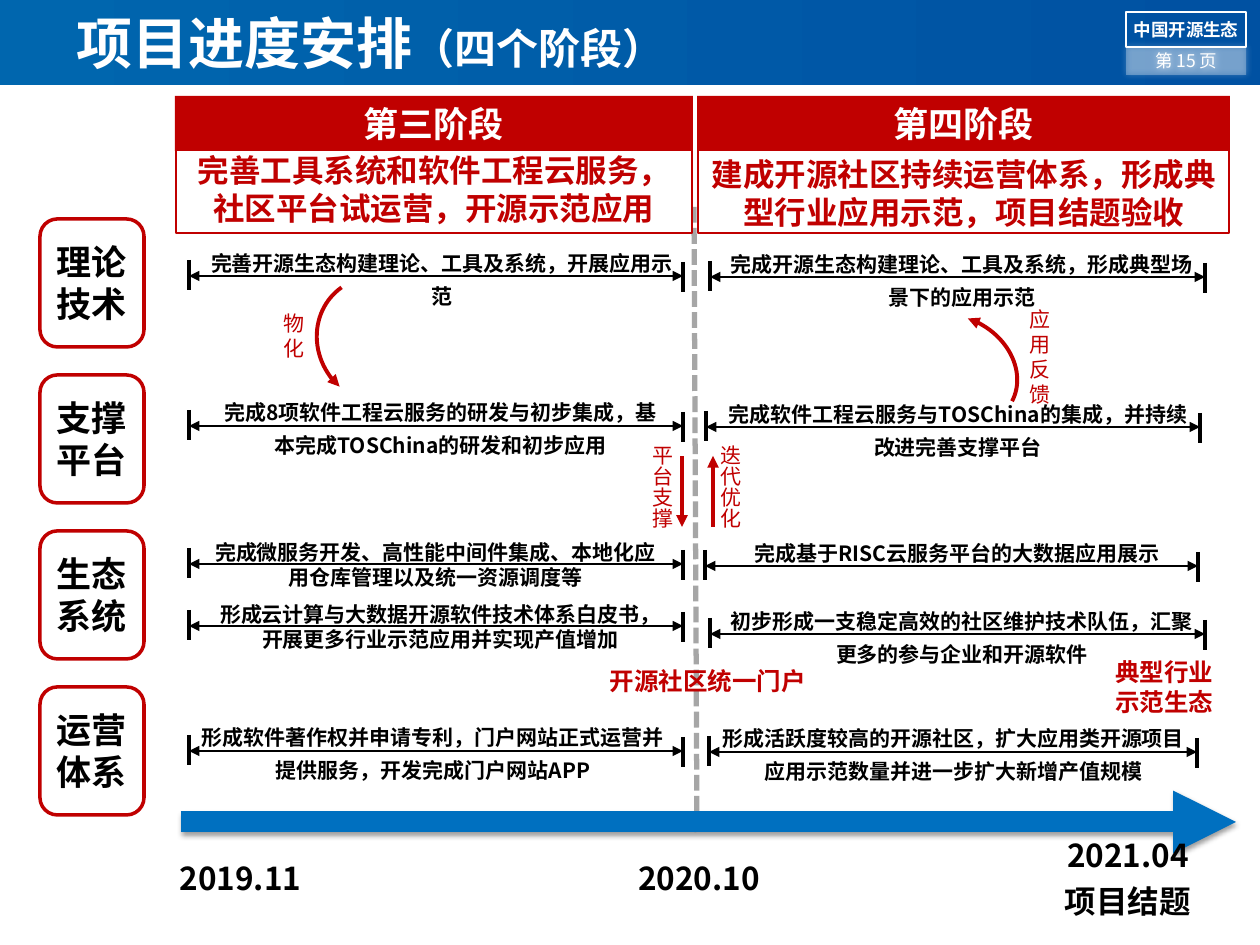
from lxml.etree import SubElement
from pptx import Presentation
from pptx.dml.color import RGBColor
from pptx.enum.dml import MSO_LINE
from pptx.enum.shapes import MSO_CONNECTOR, MSO_SHAPE
from pptx.enum.text import MSO_ANCHOR as Anchor, PP_ALIGN as Align
from pptx.oxml.ns import qn
from pptx.util import Emu, Pt

FONT = "Noto Sans CJK SC"
COLORS = {"white": "FFFFFF", "black": "000000", "red": "C00000", "blue": "0070C0",
          "gray": "A6A6A6", "header_left": "0066AE", "header_right": "0051A2"}


def px(value):
    return Emu(round(value * 914400 / 126))


def color(name):
    return RGBColor.from_string(COLORS[name])


def add_alpha(fill_element, percent):
    SubElement(fill_element, qn("a:alpha"), val=str(percent * 1000))


def add_shadow(effects, name, alpha, blur, distance=0, angle=0):
    shadow = SubElement(effects, qn("a:outerShdw"), blurRad=str(Pt(blur)),
                        dist=str(Pt(distance)), dir=str(angle * 60000))
    add_alpha(SubElement(shadow, qn("a:srgbClr"), val=COLORS[name]), alpha)


def style_paragraph(paragraph, size, name, bold=True, align=Align.CENTER, spacing=None):
    paragraph.alignment = align
    if spacing:
        paragraph.line_spacing = spacing
    font = paragraph.font
    font.size, font.bold, font.name = Pt(size), bold, FONT
    font.color.rgb = color(name)
    SubElement(font._element, qn("a:ea"), typeface=FONT)


def write(frame, text, size, name, anchor=Anchor.TOP, wrap=True, margins=None, **style):
    frame.word_wrap = wrap
    frame.vertical_anchor = anchor
    if margins:
        frame.margin_left = frame.margin_right = px(margins[0])
        frame.margin_top = frame.margin_bottom = px(margins[1])
    frame.text = text
    for paragraph in frame.paragraphs:
        style_paragraph(paragraph, size, name, **style)


def add_text(slide, box, text, size, name, **options):
    shape = slide.shapes.add_textbox(*map(px, box))
    write(shape.text_frame, text, size, name, **options)
    return shape


def add_shape(slide, kind, box, fill=None, line=None, width=1):
    shape = slide.shapes.add_shape(kind, *map(px, box))
    shape.shadow.inherit = False
    if fill:
        shape.fill.solid()
        shape.fill.fore_color.rgb = color(fill)
    else:
        shape.fill.background()
    if line:
        shape.line.color.rgb = color(line)
        shape.line.width = Pt(width)
    else:
        shape.line.fill.background()
    return shape


def add_arrowhead(line, end):
    SubElement(line._get_or_add_ln(), qn(f"a:{end}End"), type="triangle")


def add_line(slide, start, end, name, width, heads=(), dash=None):
    connector = slide.shapes.add_connector(MSO_CONNECTOR.STRAIGHT, *map(px, (*start, *end)))
    connector.line.color.rgb = color(name)
    connector.line.width = Pt(width)
    if dash:
        connector.line.dash_style = dash
    for head in heads:
        add_arrowhead(connector.line, head)
    return SubElement(connector._element.spPr, qn("a:effectLst"))


def draw_header(slide, box):
    left, top, width, height = box
    band = add_shape(slide, MSO_SHAPE.RECTANGLE, box, "white")
    band.fill.gradient()
    band.fill.gradient_angle = 0
    for stop, name in zip(band.fill.gradient_stops, ("header_left", "header_right")):
        stop.color.rgb = color(name)

    tag_left = left + width - 134
    page = add_shape(slide, MSO_SHAPE.ROUNDED_RECTANGLE, (tag_left, top + 47, 120, 28), "white")
    page.adjustments[0] = 0
    add_alpha(page._element.spPr.find(qn("a:solidFill"))[0], 30)
    add_shadow(page._element.spPr.find(qn("a:effectLst")), "white", 80, 4)
    write(page.text_frame, "第 15 页", 10, "white", Anchor.MIDDLE, margins=(13, 0), bold=False)
    badge = add_shape(slide, MSO_SHAPE.ROUNDED_RECTANGLE, (tag_left, top + 12, 120, 35), line="white")
    badge.adjustments[0] = 0
    write(badge.text_frame, "中国开源生态", 10, "white", Anchor.MIDDLE, wrap=False)

    title = add_text(slide, (left + 64, top, 1062, height), "", 32, "white",
                     anchor=Anchor.MIDDLE, wrap=False, align=Align.LEFT)
    for text, size in (("项目进度安排", 32), ("（四个阶段）", 24)):
        run = title.text_frame.paragraphs[0].add_run()
        run.text, run.font.size = text, Pt(size)


def draw_phase(slide, box, name, goal, goal_top):
    left, top, width, height = box
    add_shape(slide, MSO_SHAPE.RECTANGLE, (left + 1, top + 29, width - 2, height - 29),
              "white", "red", 1.5)
    add_text(slide, (left, top + goal_top, width, 89), goal, 18, "red")
    banner = add_shape(slide, MSO_SHAPE.RECTANGLE, (left, top, width, 55), "red")
    write(banner.text_frame, name, 20, "white")


def draw_layer(slide, box, name):
    label = add_shape(slide, MSO_SHAPE.ROUNDED_RECTANGLE, box, "white", "red", 2)
    write(label.text_frame, name, 20, "black", Anchor.MIDDLE, margins=(0, 0))


def draw_task(slide, box, span, text, spacing):
    start, end, y = span
    add_line(slide, (start, y), (end, y), "black", 0.75, ("head", "tail"))
    add_line(slide, (start, y - 16), (start, y + 14), "black", 2)
    add_line(slide, (end, y - 14), (end, y + 16), "black", 2)
    add_text(slide, box, text, 12, "black", spacing=spacing)


def draw_curve(slide, box, rotation, label_offset, label):
    left, top, _, _ = box
    curve = add_shape(slide, MSO_SHAPE.ARC, box, line="red", width=2.25)
    curve.adjustments[0], curve.adjustments[1] = 151.62, 215.14
    curve.rotation = rotation
    add_arrowhead(curve.line, "head")
    dx, dy = label_offset
    add_text(slide, (left + dx, top + dy, 35, 63), label, 12, "red", bold=False, align=Align.LEFT)


def draw_exchange(slide, box, arrow_x, downward, label):
    top = box[1]
    ends = [(arrow_x, top + 86), (arrow_x, top + 15)]
    start, end = ends if downward else ends[::-1]
    add_line(slide, start, end, "red", 2.25, ("head",))
    add_text(slide, box, label, 12, "red", bold=False, align=Align.LEFT, spacing=Pt(12))


def draw_timeline(slide, box):
    left, top, width, height = box
    effects = add_line(slide, (left + 52, top + 27), (left + 1107, top + 27), "blue", 12, ("tail",))
    add_shadow(effects, "black", 38, 3.1, 1.6, 90)
    table = slide.shapes.add_table(1, 3, *map(px, box)).table
    table.first_row = table.horz_banding = False
    table._tbl.tblPr.find(qn("a:tableStyleId")).text = "{2D5ABB26-0587-4C30-8999-92F81FD0307C}"
    dates = ("2019.11", "2020.10", "2021.04\n项目结题")
    for index, (column_width, date) in enumerate(zip((223, 694, 164), dates)):
        table.columns[index].width = px(column_width)
        cell = table.cell(0, index)
        cell.fill.background()
        cell.vertical_anchor = Anchor.MIDDLE
        cell.text = date
        for paragraph in cell.text_frame.paragraphs:
            style_paragraph(paragraph, 18, "black")


LAYERS = ("理论技术", "支撑平台", "生态系统", "运营体系")
TASKS = [
    ((193, 237, 498, 78), (189, 683, 276), "完善开源生态构建理论、工具及系统，开展应用示范", 1.3),
    ((205, 386, 471, 78), (189, 683, 426), "完成8项软件工程云服务的研发与初步集成，基本完成TOSChina的研发和初步应用", 1.3),
    ((194, 533, 483, 63), (189, 683, 564), "完成微服务开发、高性能中间件集成、本地化应用仓库管理以及统一资源调度等", None),
    ((205, 595, 471, 63), (189, 683, 626), "形成云计算与大数据开源软件技术体系白皮书，开展更多行业示范应用并实现产值增加", None),
    ((186, 711, 494, 78), (189, 683, 751), "形成软件著作权并申请专利，门户网站正式运营并提供服务，开发完成门户网站APP", 1.3),
    ((713, 238, 498, 78), (710, 1205, 277), "完成开源生态构建理论、工具及系统，形成典型场景下的应用示范", 1.3),
    ((709, 388, 498, 78), (706, 1200, 427), "完成软件工程云服务与TOSChina的集成，并持续改进完善支撑平台", 1.3),
    ((708, 527, 498, 45), (705, 1198, 566), "完成基于RISC云服务平台的大数据应用展示", 1.3),
    ((713, 595, 498, 78), (710, 1205, 634), "初步形成一支稳定高效的社区维护技术队伍，汇聚更多的参与企业和开源软件", 1.3),
    ((707, 712, 493, 78), (709, 1197, 752), "形成活跃度较高的开源社区，扩大应用类开源项目应用示范数量并进一步扩大新增产值规模", 1.3),
]


def main():
    presentation = Presentation()
    presentation.slide_width, presentation.slide_height = px(1260), px(945)
    slide = presentation.slides.add_slide(presentation.slide_layouts[6])
    draw_header(slide, (0, 0, 1260, 85))
    add_line(slide, (694, 207), (697, 832), "gray", 3, dash=MSO_LINE.SQUARE_DOT)
    draw_phase(slide, (175, 96, 518, 137), "第三阶段",
               "完善工具系统和软件工程云服务，社区平台试运营，开源示范应用", 49)
    draw_phase(slide, (697, 96, 533, 137), "第四阶段",
               "建成开源社区持续运营体系，形成典型行业应用示范，项目结题验收", 53)
    for index, name in enumerate(LAYERS):
        draw_layer(slide, (40, 219 + 156 * index, 104, 128), name)
    draw_timeline(slide, (129, 795, 1081, 164))
    draw_curve(slide, (314, 280, 128, 120), 236.8, (-43, 24), "物化")
    draw_curve(slide, (892, 318, 128, 105), 30.2, (125, -18), "应用反馈")
    for task in TASKS:
        draw_task(slide, *task)
    draw_exchange(slide, (640, 441, 35, 97), 682, True, "平台支撑")
    draw_exchange(slide, (708, 441, 35, 97), 713, False, "迭代优化")
    add_text(slide, (590, 660, 236, 43), "开源社区统一门户", 14, "red")
    add_text(slide, (1085, 651, 159, 72), "典型行业\n示范生态", 14, "red")
    presentation.save("out.pptx")


if __name__ == "__main__":
    main()
